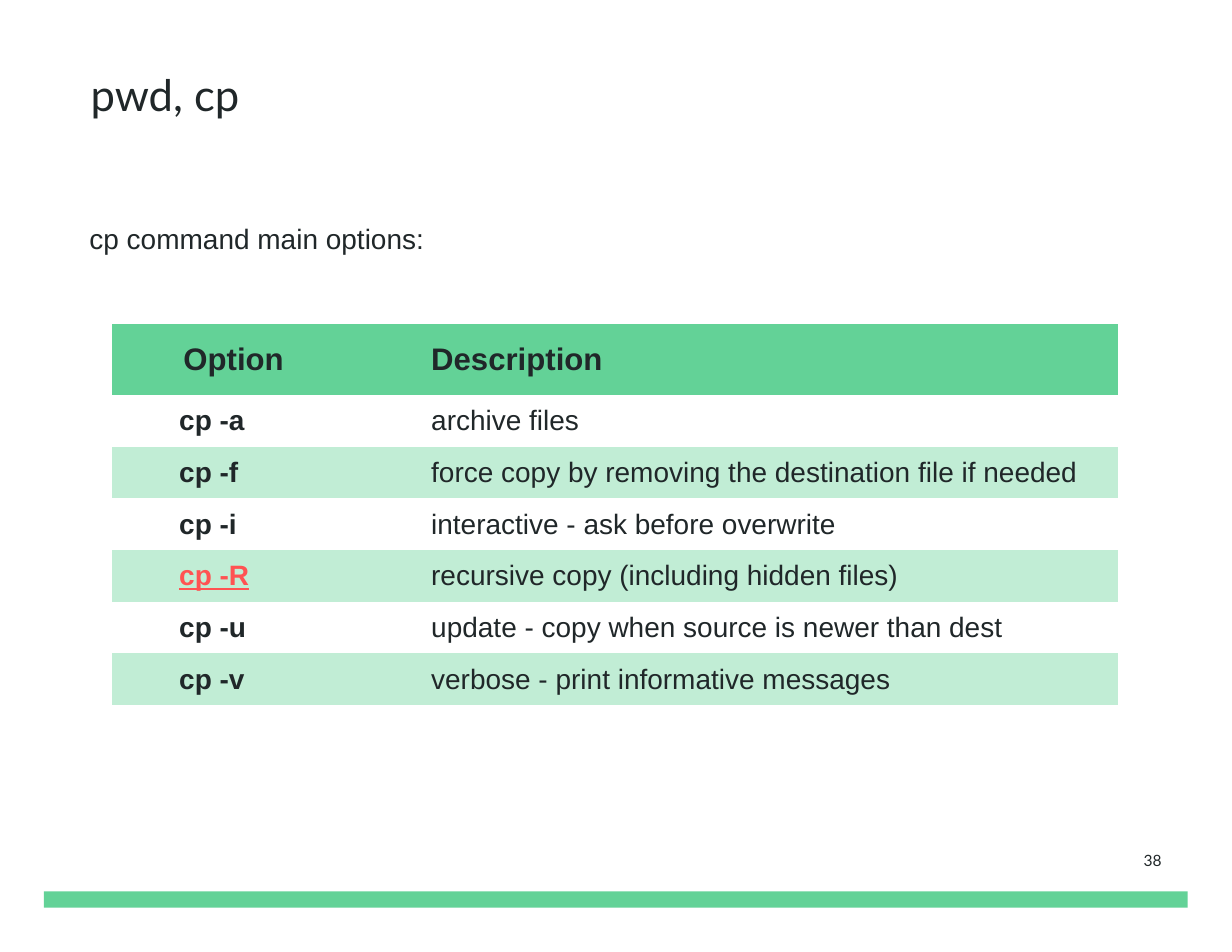
"""Build the slide listing the main options of the cp command."""
import pptx
import pptx.dml.color
import pptx.enum.shapes
import pptx.enum.text
import pptx.util

Pt = pptx.util.Pt
RGBColor = pptx.dml.color.RGBColor
ALIGN = pptx.enum.text.PP_ALIGN
ANCHOR = pptx.enum.text.MSO_ANCHOR

INK = RGBColor(0x20, 0x27, 0x29)
GREEN = RGBColor(0x63, 0xD2, 0x97)
PALE_GREEN = RGBColor(0xC1, 0xED, 0xD5)
RED = RGBColor(0xFF, 0x52, 0x52)

TEXTS = [
    ("pwd, cp", (58.3, 36.7, 685.4, 61.9), (0, 7.2), 28, "Lato", ALIGN.LEFT, ANCHOR.TOP),
    ("cp command main options:", (50.4, 139, 690.5, 28.8), (7.2, 3.6), 18, "Arial",
     ALIGN.LEFT, ANCHOR.TOP),
    ("38", (709.9, 532.1, 43.9, 42.5), (7.2, 7.2), 10, "Lato", ALIGN.RIGHT, ANCHOR.MIDDLE),
]
ROWS = [
    ("Option ", "Description"),
    ("cp -a", "archive files"),
    ("cp -f", "force copy by removing the destination file if needed"),
    ("cp -i", "interactive - ask before overwrite"),
    ("cp -R", "recursive copy (including hidden files)"),
    ("cp -u", "update - copy when source is newer than dest"),
    ("cp -v", "verbose - print informative messages"),
]
HIGHLIGHTED = "cp -R"
TABLE_LEFT, TABLE_TOP = 72, 208.5
COLUMN_WIDTHS = (162, 484.6)
HEADER_HEIGHT, ROW_HEIGHT = 45.5, 33.24
CELL_INSET = 43.2
NO_GRID_STYLE = "{2D5ABB26-0587-4C30-8999-92F81FD0307C}"


def set_font(p, size, name, color=INK, bold=False):
    p.font.size = Pt(size)
    p.font.name = name
    p.font.bold = bold
    p.font.color.rgb = color


def add_text(s, text, box, insets, size, name, align, anchor):
    tf = s.shapes.add_textbox(*map(Pt, box)).text_frame
    tf.word_wrap = True
    tf.vertical_anchor = anchor
    tf.margin_left = tf.margin_right = Pt(insets[0])
    tf.margin_top = tf.margin_bottom = Pt(insets[1])
    p = tf.paragraphs[0]
    p.text = text
    p.alignment = align
    set_font(p, size, name)


def fill_cell(cell, text, row, col):
    header = row == 0
    cell.vertical_anchor = ANCHOR.MIDDLE
    if row % 2 and not header:
        cell.fill.background()
    else:
        cell.fill.solid()
        cell.fill.fore_color.rgb = GREEN if header else PALE_GREEN
    p = cell.text_frame.paragraphs[0]
    p.text = text
    if header and col == 0:
        p.alignment = ALIGN.CENTER
    else:
        cell.margin_left = Pt(CELL_INSET)
    marked = text == HIGHLIGHTED
    set_font(p, 20 if header else 18, "Arial", RED if marked else INK, header or col == 0)
    if marked:
        p.font.underline = True


def add_options_table(s):
    heights = [HEADER_HEIGHT] + [ROW_HEIGHT] * (len(ROWS) - 1)
    frame = s.shapes.add_table(
        len(ROWS), len(COLUMN_WIDTHS), Pt(TABLE_LEFT), Pt(TABLE_TOP),
        Pt(sum(COLUMN_WIDTHS)), Pt(sum(heights)))
    table = frame.table
    for style in frame.element.xpath(".//a:tableStyleId"):
        style.text = NO_GRID_STYLE
    for column, width in zip(table.columns, COLUMN_WIDTHS):
        column.width = Pt(width)
    for row, (texts, height) in enumerate(zip(ROWS, heights)):
        table.rows[row].height = Pt(height)
        for col, text in enumerate(texts):
            fill_cell(table.cell(row, col), text, row, col)


def main():
    prs = pptx.Presentation()
    prs.slide_width, prs.slide_height = Pt(792), Pt(612)
    s = prs.slides.add_slide(prs.slide_layouts[6])
    bar = s.shapes.add_shape(
        pptx.enum.shapes.MSO_SHAPE.RECTANGLE, Pt(28.3), Pt(573), Pt(735.2), Pt(10.6))
    bar.shadow.inherit = False
    bar.fill.solid()
    bar.fill.fore_color.rgb = GREEN
    bar.line.fill.background()
    for item in TEXTS:
        add_text(s, *item)
    add_options_table(s)
    prs.save("out.pptx")


if __name__ == "__main__":
    main()
